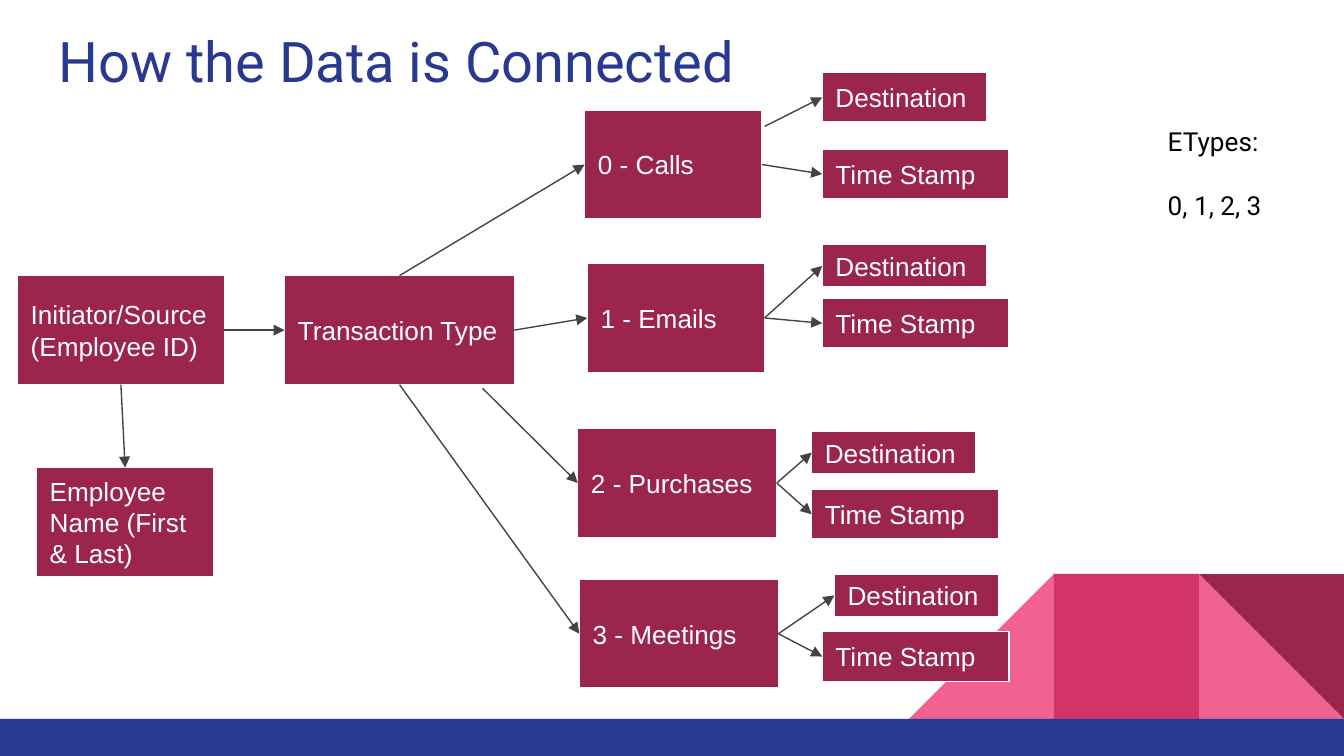
from dataclasses import dataclass

from lxml import etree
from pptx import Presentation
from pptx.dml.color import RGBColor
from pptx.enum.shapes import MSO_CONNECTOR, MSO_SHAPE
from pptx.enum.text import MSO_ANCHOR, PP_ALIGN
from pptx.oxml.ns import qn
from pptx.util import Cm, Pt

RECT, TRI = MSO_SHAPE.RECTANGLE, MSO_SHAPE.RIGHT_TRIANGLE
LINE = MSO_CONNECTOR.STRAIGHT
LEFT, TOP, MID = PP_ALIGN.LEFT, MSO_ANCHOR.TOP, MSO_ANCHOR.MIDDLE
HEX = {"wine": "9C254D", "rose": "D23369", "pink": "F06292",
       "navy": "2A3990", "gray": "434343", "white": "FFFFFF", "black": "000000"}
WIDE, HIGH = 25.4, 14.29
Point = tuple[float, float]


@dataclass
class Node:
    text: str
    x: float
    y: float
    w: float
    h: float = 2.06

    def at(self, fx: float, fy: float) -> Point:
        """Point at a fraction of the width and height."""
        return self.x + fx * self.w, self.y + fy * self.h


@dataclass
class Branch:
    node: Node
    dest: Node
    stamp: Node


def color(name: str) -> RGBColor:
    return RGBColor.from_string(HEX[name])


def add_block(slide, kind, box: tuple, fill: str):
    shape = slide.shapes.add_shape(kind, *map(Cm, box))
    shape.shadow.inherit = False
    shape.fill.solid()
    shape.fill.fore_color.rgb = color(fill)
    shape.line.fill.background()
    return shape


def set_text(shape, lines: list[str], font: str, size: int, ink: str,
             anchor=TOP, gap: int = 0) -> None:
    frame = shape.text_frame
    frame.word_wrap = True
    frame.vertical_anchor = anchor
    frame.margin_left = frame.margin_right = Cm(0.25)
    frame.margin_top = frame.margin_bottom = Cm(0.25)
    for i, line in enumerate(lines):
        para = frame.add_paragraph() if i else frame.paragraphs[0]
        para.text = line
        para.alignment = LEFT
        if i:
            para.space_before = Pt(gap)
        para.font.name, para.font.size = font, Pt(size)
        para.font.color.rgb = color(ink)


def add_node(slide, node: Node) -> None:
    shape = add_block(slide, RECT, (node.x, node.y, node.w, node.h), "wine")
    shape.line.color.rgb = color("white")
    shape.line.width = Pt(0.75)
    set_text(shape, [node.text], "Arial", 14, "white", MID)


def add_arrow(slide, start: Point, end: Point) -> None:
    line = slide.shapes.add_connector(LINE, *map(Cm, start + end))
    line.line.color.rgb = color("gray")
    line.line.width = Pt(0.75)
    etree.SubElement(line.line._get_or_add_ln(), qn("a:tailEnd"), type="triangle")
    etree.SubElement(line._element.spPr, qn("a:effectLst"))


def add_decor(slide) -> None:
    side, base = 2.74, 13.59
    cols = [WIDE - side * n for n in (3, 2, 1)]
    parts = [(TRI, cols[2], "pink", 0), (TRI, cols[0], "pink", 0),
             (RECT, cols[1], "rose", 0), (TRI, cols[2], "wine", 180)]
    for kind, x, fill, turn in parts:
        shape = add_block(slide, kind, (x, base - side, side, side), fill)
        shape.rotation = turn
        if x == cols[0]:
            shape._element.spPr.get_or_add_xfrm().set("flipH", "1")
    add_block(slide, RECT, (0, base, WIDE, HIGH - base), "navy")


def make_branch(node: Node, dest: Point, stamp: Point, tall: float = 0.81) -> Branch:
    return Branch(node, Node("Destination", *dest, 3.1, tall),
                  Node("Time Stamp", *stamp, 3.53, 0.94))


def main() -> None:
    deck = Presentation()
    deck.slide_width, deck.slide_height = Cm(WIDE), Cm(HIGH)
    slide = deck.slides.add_slide(deck.slide_layouts[6])

    # Corner shapes and title
    add_decor(slide)
    title = slide.shapes.add_textbox(Cm(0.86), Cm(0.25), Cm(23.67), Cm(1.68))
    set_text(title, ["How the Data is Connected"], "Roboto", 30, "navy")

    # Boxes
    source = Node("Initiator/Source (Employee ID)", 0.33, 5.21, 3.91)
    trans = Node("Transaction Type", 5.38, 5.21, 4.34)
    name = Node("Employee Name (First & Last)", 0.69, 8.84, 3.35)
    calls, mails, buys, meets = branches = [
        make_branch(Node("0 - Calls", 11.05, 2.08, 3.35),
                    (15.54, 1.37), (15.54, 2.82), 0.94),
        make_branch(Node("1 - Emails", 11.1, 4.98, 3.35),
                    (15.54, 4.62), (15.54, 5.64)),
        make_branch(Node("2 - Purchases", 10.92, 8.1, 3.76),
                    (15.34, 8.15), (15.34, 9.25)),
        make_branch(Node("3 - Meetings", 10.95, 10.95, 3.76),
                    (15.77, 10.85), (15.54, 11.94)),
    ]
    for node in (source, trans, name):
        add_node(slide, node)
    for branch in branches:
        for node in (branch.node, branch.dest, branch.stamp):
            add_node(slide, node)

    # Arrows from the source and the transaction type
    add_arrow(slide, source.at(0.5, 1), name.at(0.5, 0))
    add_arrow(slide, source.at(1, 0.5), trans.at(0, 0.5))
    starts = [trans.at(0.5, 0), trans.at(1, 0.5), (9.12, 7.34), trans.at(0.5, 1)]
    for start, branch in zip(starts, branches):
        add_arrow(slide, start, branch.node.at(0, 0.5))

    # Arrows from each type to its details
    for branch in branches:
        out = branch.node.at(1, 0.5)
        first = (14.45, 2.39) if branch is calls else out
        add_arrow(slide, first, branch.dest.at(0, 0.5))
        add_arrow(slide, out, branch.stamp.at(0, 0.5))

    # Key
    key = slide.shapes.add_textbox(Cm(21.82), Cm(2.13), Cm(3.23), Cm(2.31))
    set_text(key, ["ETypes:", "0, 1, 2, 3"], "Roboto", 14, "black", gap=17)

    deck.save("out.pptx")


if __name__ == "__main__":
    main()
